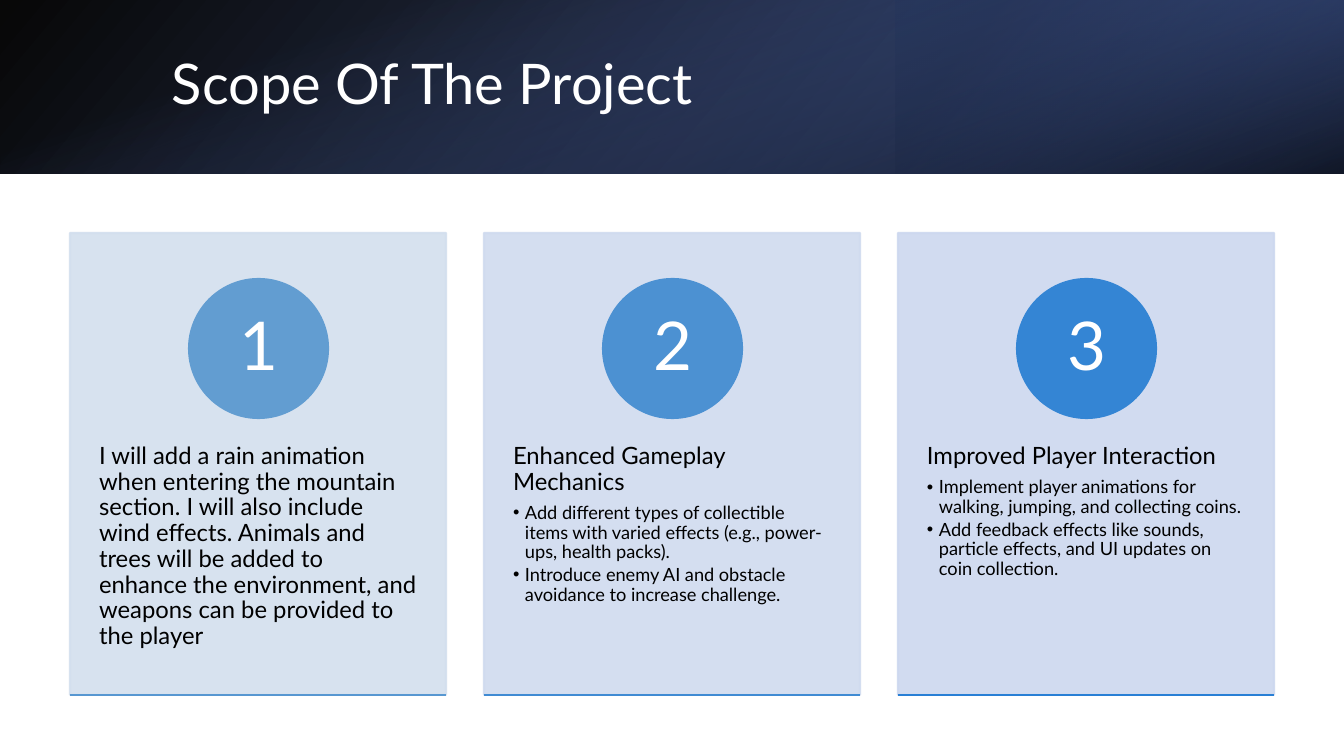
import dataclasses
import typing

import lxml.etree
import pptx
import pptx.dml.color
import pptx.enum.shapes
import pptx.enum.text
import pptx.oxml.ns
import pptx.shapes.base
import pptx.slide
import pptx.text.text
import pptx.util

RGBColor = pptx.dml.color.RGBColor
Align = pptx.enum.text.PP_ALIGN
Anchor = pptx.enum.text.MSO_ANCHOR
Kind = pptx.enum.shapes.MSO_SHAPE
Shape = pptx.shapes.base.BaseShape
qn = pptx.oxml.ns.qn

BLACK = RGBColor(0x00, 0x00, 0x00)
WHITE = RGBColor(0xFF, 0xFF, 0xFF)
NAVY = RGBColor(0x38, 0x4C, 0x81)
DUSK = RGBColor(0x25, 0x33, 0x56)
BLUE = RGBColor(0x4A, 0x66, 0xAC)
PALE = [RGBColor(0xD3, 0xDF, 0xEE), RGBColor(0xD0, 0xDB, 0xEF), RGBColor(0xCD, 0xD8, 0xEF)]
DISC = [RGBColor(0x62, 0x9D, 0xD1), RGBColor(0x4C, 0x91, 0xD2), RGBColor(0x34, 0x85, 0xD4)]
RULE = [RGBColor(0x57, 0x97, 0xD1), RGBColor(0x40, 0x8B, 0xD3), RGBColor(0x29, 0x7F, 0xD5)]

FONT = "Lato"
WIDE, HIGH, BAND = 1344, 756, 174
LEFT, STEP, SPAN = 70, 414, 376
TOP, BASE = 233, 695
ROUND = 139


class Stop(typing.NamedTuple):
    place: int
    tint: RGBColor
    solid: int


@dataclasses.dataclass(frozen=True)
class Band:
    rect: tuple[int, int, int, int]
    angle: int
    stops: tuple[Stop, Stop]
    turn: int = 0
    flip: bool = False


@dataclasses.dataclass(frozen=True)
class Card:
    head: str
    points: tuple[str, ...] = ()


BANDS = [
    Band((0, 0, WIDE, BAND), 140, (Stop(0, BLACK, 96), Stop(100, NAVY, 96)), flip=True),
    Band((896, 0, 448, BAND), 320, (Stop(19, DUSK, 68), Stop(100, BLUE, 79)), 180, True),
    Band(((WIDE - BAND) // 2, (BAND - WIDE) // 2, BAND, WIDE), 340,
         (Stop(23, BLUE, 0), Stop(99, BLACK, 74)), 90),
]
CARDS = [
    Card("I will add a rain animation when entering the mountain section. I will also "
         "include wind effects. Animals and trees will be added to enhance the "
         "environment, and weapons can be provided to the player"),
    Card("Enhanced Gameplay Mechanics", (
        "Add different types of collectible items with varied effects "
        "(e.g., power-ups, health packs).",
        "Introduce enemy AI and obstacle avoidance to increase challenge.")),
    Card("Improved Player Interaction", (
        "Implement player animations for walking, jumping, and collecting coins.",
        "Add feedback effects like sounds, particle effects, and UI updates on "
        "coin collection.")),
]


def px(count: int) -> pptx.util.Emu:
    return pptx.util.Emu(round(count * 12192000 / WIDE))


def fade(shape: Shape, *solid: int) -> None:
    tints = shape.element.spPr.iter(qn("a:srgbClr"))
    for tint, share in zip(tints, solid):
        lxml.etree.SubElement(tint, qn("a:alpha"), val=str(share * 1000))


def place(shape: Shape, left: int, top: int, width: int, height: int) -> None:
    shape.left, shape.top = px(left), px(top)
    shape.width, shape.height = px(width), px(height)
    shape.element.getparent().append(shape.element)


def frame(shape: Shape, side: int, edge: int, anchor: Anchor) -> pptx.text.text.TextFrame:
    text = shape.text_frame
    text.word_wrap = True
    text.auto_size = pptx.enum.text.MSO_AUTO_SIZE.NONE
    text.margin_left = text.margin_right = px(side)
    text.margin_top = text.margin_bottom = px(edge)
    text.vertical_anchor = anchor
    return text


def write(para: pptx.text.text._Paragraph, text: str, *, size: int, tint: RGBColor = BLACK,
          align: Align = Align.LEFT, after: int = 0, point: bool = False) -> None:
    run = para.add_run()
    run.text = text
    run.font.name, run.font.size, run.font.bold = FONT, pptx.util.Pt(size), False
    run.font.color.rgb = tint
    para.alignment, para.line_spacing = align, 0.9
    para.space_before, para.space_after = pptx.util.Pt(0), pptx.util.Pt(after)
    para.level = int(point)
    props = para._p.get_or_add_pPr()
    dent = px(12) if point else 0
    props.set("marL", str(dent))
    props.set("indent", str(-dent))
    if point:
        lxml.etree.SubElement(props, qn("a:buChar"), char="•")
    else:
        lxml.etree.SubElement(props, qn("a:buNone"))


def block(slide: pptx.slide.Slide, kind: Kind, rect: tuple[int, int, int, int],
          tint: RGBColor) -> Shape:
    shape = slide.shapes.add_shape(kind, *map(px, rect))
    shape.shadow.inherit = False
    shape.fill.solid()
    shape.fill.fore_color.rgb = tint
    shape.line.color.rgb = tint
    shape.line.width = pptx.util.Pt(1.5)
    return shape


def draw_band(slide: pptx.slide.Slide, band: Band) -> None:
    shape = block(slide, Kind.RECTANGLE, band.rect, BLACK)
    shape.line.fill.background()
    shape.rotation = band.turn
    if band.flip:
        shape.element.spPr.xfrm.set("flipH", "1")
    shape.fill.gradient()
    shape.fill.gradient_angle = 360 - band.angle
    for mark, stop in zip(shape.fill.gradient_stops, band.stops):
        mark.position = stop.place / 100
        mark.color.rgb = stop.tint
    fade(shape, *(stop.solid for stop in band.stops))


def draw_card(slide: pptx.slide.Slide, body: Shape, card: Card, index: int) -> None:
    left = LEFT + index * STEP
    panel = block(slide, Kind.RECTANGLE, (left, TOP, SPAN, BASE - TOP), PALE[index])
    fade(panel, 90, 90)

    place(body, left, 408, SPAN, 277)
    text = frame(body, 29, 36, Anchor.TOP)
    write(text.paragraphs[0], card.head, size=17, after=6)
    for point in card.points:
        write(text.add_paragraph(), point, size=13, after=2, point=True)

    disc = block(slide, Kind.OVAL, (left + (SPAN - ROUND) // 2 + 1, 279, ROUND, ROUND),
                 DISC[index])
    digit = frame(disc, 11, 1, Anchor.MIDDLE).paragraphs[0]
    write(digit, str(index + 1), size=48, tint=WHITE, align=Align.CENTER)

    rule = slide.shapes.add_connector(pptx.enum.shapes.MSO_CONNECTOR.STRAIGHT,
                                      px(left), px(BASE), px(left + SPAN), px(BASE))
    rule.line.color.rgb = RULE[index]
    rule.line.width = pptx.util.Pt(1.5)
    lxml.etree.SubElement(rule.element.spPr, qn("a:effectLst"))


def main() -> None:
    deck = pptx.Presentation()
    deck.slide_width, deck.slide_height = px(WIDE), px(HIGH)
    slide = deck.slides.add_slide(deck.slide_layouts.get_by_name("Comparison"))
    title, *bodies, spare = list(slide.placeholders)
    spare.element.getparent().remove(spare.element)

    for band in BANDS:
        draw_band(slide, band)
    place(title, 151, 38, 1107, 97)
    text = frame(title, 10, 5, Anchor.MIDDLE)
    text.margin_left = px(21)
    write(text.paragraphs[0], "Scope Of The Project", size=40, tint=WHITE)
    for index, (body, card) in enumerate(zip(bodies, CARDS)):
        draw_card(slide, body, card, index)
    deck.save("out.pptx")


if __name__ == "__main__":
    main()
